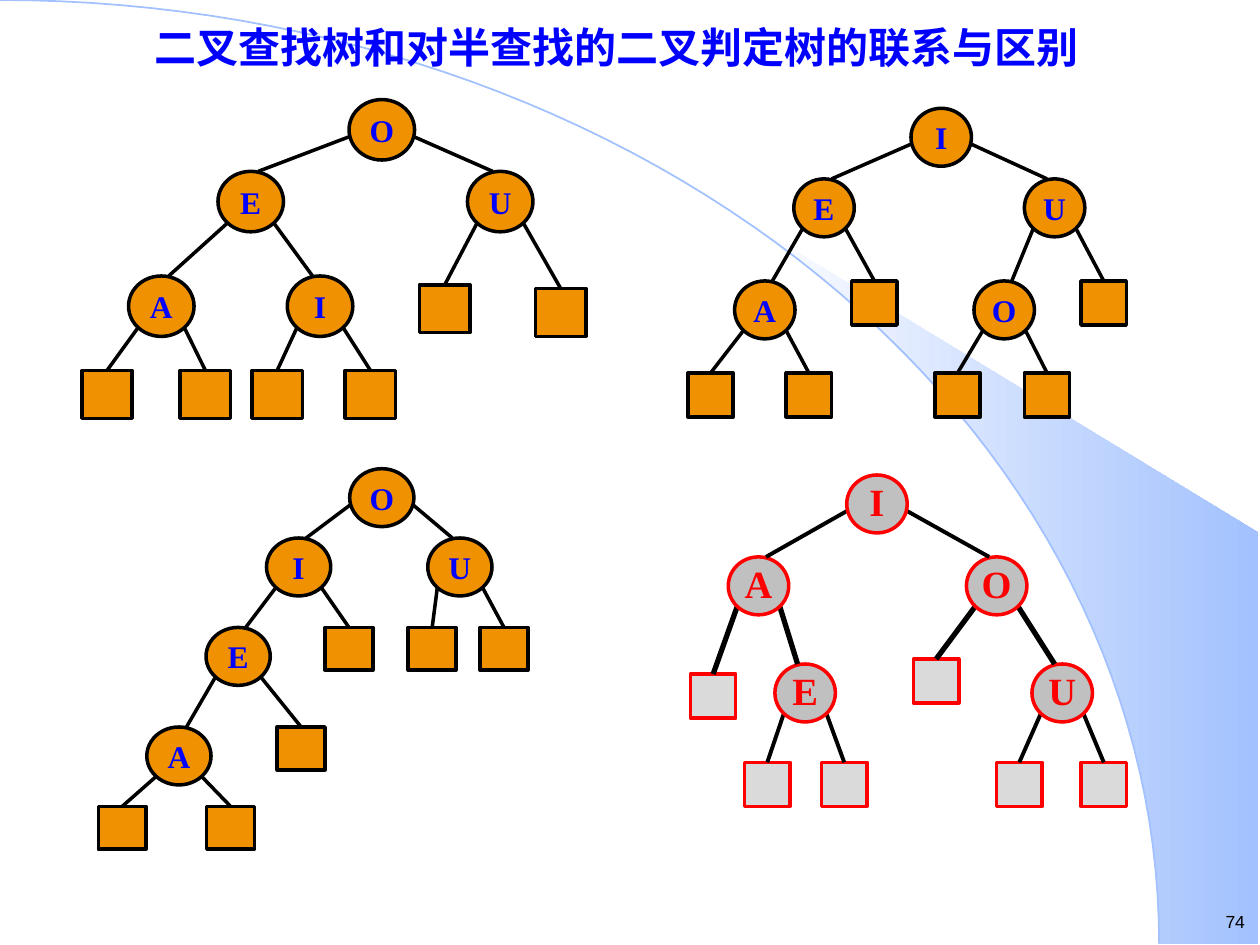
from math import asin, cos, pi, sin

from lxml import etree
from pptx import Presentation, util as u
from pptx.dml.color import RGBColor
from pptx.enum import shapes, text
from pptx.oxml.ns import qn

SERIF = "Times New Roman"
WARM = dict(node="EF9100", leaf="EF9100", line="000000", ink="0000FF", size=18,
            edges=(2, 2, 2, 2), pad=(0.02, 0.01, 0.02, 0.01), space=1.0,
            anchor=text.MSO_ANCHOR.MIDDLE)
GRAY = dict(node="C0C0C0", leaf="DADADA", line="FF0000", ink="FF0000", size=22,
            edges=(2.25, 3, 2.25), pad=(0, 0, 0, 0.12), space=0.9,
            anchor=text.MSO_ANCHOR.TOP)

# A node is (label, middle x, left, right); a leaf is (middle x[, extra drop]).
# Rows are the tops of the levels inside the box.
TREES = [
    dict(box=(0.5, 0.79), look=WARM, oval=(0.52, 0.48), square=(0.4, 0.38),
         rows=(0, 0.57, 1.4, 2.15),
         root=("O", 2.53,
               ("E", 1.49, ("A", 0.78, (0.35,), (1.13,)),
                ("I", 2.04, (1.7,), (2.44,))),
               ("U", 3.47, (3.03, 0.07), (3.95, 0.1)))),
    dict(box=(5, 0.86), look=WARM, oval=(0.48, 0.46), square=(0.36, 0.35),
         rows=(0, 0.56, 1.37, 2.1),
         root=("I", 2.47,
               ("E", 1.54, ("A", 1.07, (0.64,), (1.42,)), (1.94,)),
               ("U", 3.37, ("O", 2.97, (2.6,), (3.31,)), (3.76,)))),
    dict(box=(0.5, 3.72), look=WARM, oval=(0.51, 0.46), square=(0.38, 0.34),
         rows=(0, 0.55, 1.26, 2.05, 2.68),
         root=("O", 2.53,
               ("I", 1.87,
                ("E", 1.39, ("A", 0.92, (0.47,), (1.33,)), (1.89,)), (2.27,)),
               ("U", 3.15, (2.93,), (3.5,)))),
    dict(box=(5, 3.77), look=GRAY, oval=(0.48, 0.46), square=(0.36, 0.35),
         rows=(0, 0.65, 1.5, 2.28),
         root=("I", 1.96,
               ("A", 1.02, (0.66, 0.08), ("E", 1.39, (1.09,), (1.7,))),
               ("O", 2.91, (2.43, -0.04), ("U", 3.43, (3.09,), (3.76,))))),
]


def inch(val):
    return u.Cm(val * 2.54)


def tint(code):
    return RGBColor.from_string(code)


def paint(shape, fill, line, width):
    shape.shadow.inherit = False
    if fill:
        shape.fill.solid()
        shape.fill.fore_color.rgb = tint(fill)
    else:
        shape.fill.background()
    shape.line.color.rgb = tint(line)
    shape.line.width = u.Pt(width)


def write(shape, words, ink, pad, font, frame, para):
    """Put one line of text in a shape; the last three are dicts of format values."""
    body = shape.text_frame
    sides = ("margin_left", "margin_top", "margin_right", "margin_bottom")
    frame = {**frame, **{side: inch(val) for side, val in zip(sides, pad)}}
    line = body.paragraphs[0]
    run = line.add_run()
    run.text = words
    for goal, vals in ((body, frame), (line, para), (run.font, font)):
        for key, val in vals.items():
            setattr(goal, key, val)
    run.font.color.rgb = tint(ink)


def label(slide, box, words, ink, pad, font, para):
    shape = slide.shapes.add_textbox(*map(inch, box))
    write(shape, words, ink, pad, font, dict(word_wrap=True), para)


def outline(slide, spots, close):
    pts = [(inch(x), inch(y)) for x, y in spots]
    pen = slide.shapes.build_freeform(*pts[0])
    pen.add_line_segments(pts[1:], close=close)
    return pen.convert_to_shape()


def backdrop(slide, left, top, wide, high):
    """Draw the shaded wedge, which hugs the quarter arc, and the arc."""
    def curve(start, steps=60):
        turns = [start + (pi / 2 - start) * i / steps for i in range(steps + 1)]
        return [(left + wide * sin(t), top + high * (1 - cos(t))) for t in turns]

    edge = left + 9.99
    wedge = outline(slide, curve(asin(5.89 / wide))
                    + [(edge, top + high), (edge, top + 4.23)], True)
    wedge.shadow.inherit = False
    wedge.fill.gradient()
    wedge.fill.gradient_angle = 0
    for stop, code in zip(wedge.fill.gradient_stops, ("FFFFFF", "A2C1FE")):
        stop.color.rgb = tint(code)
    wedge.line.fill.background()
    paint(outline(slide, curve(0), False), None, "A2C1FE", 1)


def link(slide, start, end, width):
    wire = slide.shapes.add_connector(
        shapes.MSO_CONNECTOR.STRAIGHT, *map(inch, (*start, *end)))
    wire.line.color.rgb = tint("000000")
    wire.line.width = u.Pt(width)
    etree.SubElement(wire._element.spPr, qn("a:effectLst"))
    return wire


def tree(slide, box, look, oval, square, rows, root):
    left, top = box
    wide, high = oval

    def place(kind, mid, y, size, fill):
        shape = slide.shapes.add_shape(
            kind, *map(inch, (mid - size[0] / 2, y, *size)))
        paint(shape, fill, look["line"], 2)
        return shape

    def grow(part, level):
        """Draw a subtree; return its top shape, middle x and top y."""
        y = top + rows[level]
        if not isinstance(part[0], str):
            mid, y = left + part[0], y + sum(part[1:])
            return place(shapes.MSO_SHAPE.RECTANGLE, mid, y, square,
                         look["leaf"]), mid, y
        name, mid, *kids = part
        mid += left
        out, down = (0.35, 0.85) if level else (0.46, 0.6)
        for side, kid in zip((-1, 1), kids):
            shape, x, end = grow(kid, level + 1)
            is_leaf = len(kid) < 3
            lean = 0 if is_leaf else 0.06 * side
            wire = link(slide, (mid + side * out * wide, y + down * high),
                        (x - lean, end), look["edges"][level])
            if is_leaf:
                wire.end_connect(shape, 0)
        node = place(shapes.MSO_SHAPE.OVAL, mid, y, oval, look["node"])
        write(node, name, look["ink"], look["pad"],
              dict(name=SERIF, size=u.Pt(look["size"]), bold=True),
              dict(vertical_anchor=look["anchor"], word_wrap=False),
              dict(alignment=text.PP_ALIGN.CENTER, line_spacing=look["space"]))
        return node, mid, y

    grow(root, 0)


def main():
    deck = Presentation()
    deck.slide_width, deck.slide_height = inch(10), inch(7.5)
    slide = deck.slides.add_slide(deck.slide_layouts[6])
    backdrop(slide, 0, 0, 9.2, 7.49)
    label(slide, (9.41, 7.18, 0.49, 0.27), "74", "000000",
          (0.02, 0.05, 0.02, 0.05), dict(name="Arial", size=u.Pt(10)),
          dict(alignment=text.PP_ALIGN.RIGHT))
    label(slide, (0.17, 0.17, 9.44, 0.43),
          "二叉查找树和对半查找的二叉判定树的联系与区别", "0000FF",
          (0.1, 0.05, 0.1, 0.05), dict(name=SERIF, size=u.Pt(24), bold=True),
          dict(alignment=text.PP_ALIGN.CENTER, line_spacing=0.9))
    for plan in TREES:
        tree(slide, **plan)
    deck.save("out.pptx")


if __name__ == "__main__":
    main()
